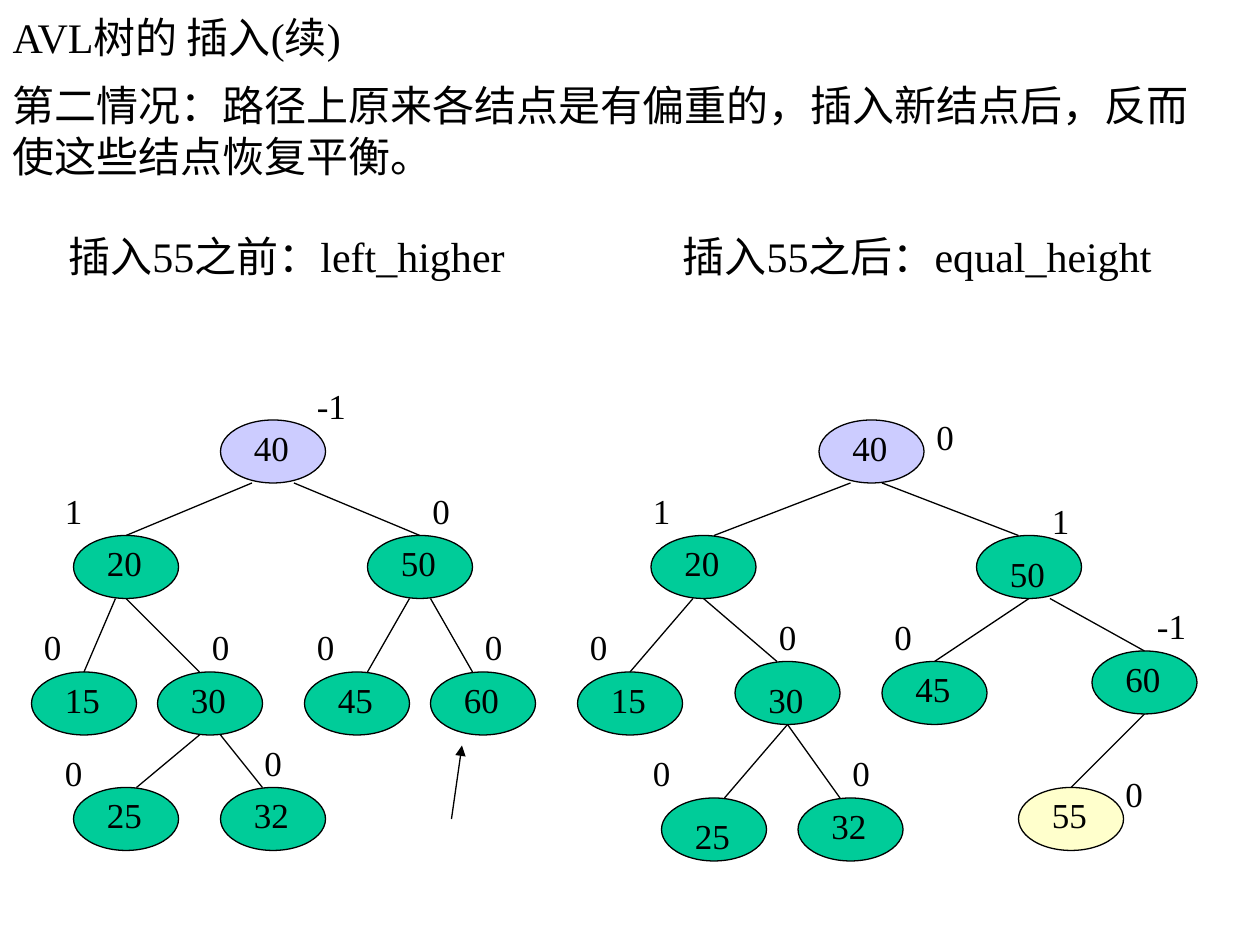
from lxml import etree
from pptx import Presentation
from pptx.dml.color import RGBColor
from pptx.enum.shapes import MSO_CONNECTOR, MSO_SHAPE
from pptx.enum.text import MSO_ANCHOR, MSO_AUTO_SIZE, PP_ALIGN
from pptx.oxml.ns import qn
from pptx.util import Pt

COLOURS = {"ink": "000000", "root": "CCCCFF", "node": "00CC99", "new": "FFFFCC"}
FONT = "Times New Roman"
NODE_W, NODE_H = 60, 36
LABEL_W, LABEL_H = 36, 31.7
KEY_INSET = 12  # from a node's left edge to the box of its key
CAPTION_TABS = (32, 383)

# key: (left, top, balance, balance left, balance top, extra drop of the key)
NODES_BEFORE = {
    "40": (126, 240, "-1", 174, 216, 0),
    "20": (42, 306, "1", 30, 276, 0),
    "50": (210, 306, "0", 240, 276, 0),
    "15": (18, 384, "0", 18, 354, 0),
    "30": (90, 384, "0", 114, 354, 0),
    "45": (174, 384, "0", 174, 354, 0),
    "60": (246, 384, "0", 270, 354, 0),
    "25": (42, 450, "0", 30, 426, 0),
    "32": (126, 450, "0", 144, 420, 0),
}
NODES_AFTER = {
    "40": (468, 240, "0", 528, 234, 0),
    "20": (372, 306, "1", 366, 276, 0),
    "50": (558, 306, "1", 594, 282, 6),
    "15": (330, 384, "0", 330, 354, 0),
    "30": (420, 378, "0", 438, 348, 6),
    "45": (504, 378, "0", 504, 348, 0),
    "60": (624, 372, "-1", 654, 342, 0),
    "25": (378, 456, "0", 366, 426, 6),
    "32": (456, 456, "0", 480, 426, 0),
    "55": (582, 450, "0", 636, 438, 0),
}
# (parent, child, shift from parent's centre, shift from child's centre)
EDGES_BEFORE = [
    ("40", "20", -12, 0), ("40", "50", 12, 0),
    ("20", "15", -6, 0), ("20", "30", 0, -6),
    ("50", "45", -6, 6), ("50", "60", 6, -6),
    ("30", "25", -6, 6), ("30", "32", 6, -6),
]
EDGES_AFTER = [
    ("40", "20", -12, 6), ("40", "50", 6, -6),
    ("20", "15", -6, 0), ("20", "30", 0, -6),
    ("50", "45", 0, 0), ("50", "60", 12, 0),
    ("30", "25", 0, 6), ("30", "32", 0, -6),
    ("60", "55", 0, 0),
]


def colour(name):
    return RGBColor.from_string(COLOURS[name])


def apply_format(target, values):
    for attribute, value in values.items():
        setattr(target, attribute, value)


def format_font(paragraph, size):
    apply_format(paragraph.font, {"name": FONT, "size": Pt(size), "bold": False})
    paragraph.font.color.rgb = colour("ink")


def format_frame(frame, anchor):
    apply_format(frame, {
        "word_wrap": True, "auto_size": MSO_AUTO_SIZE.NONE, "vertical_anchor": anchor,
        "margin_left": Pt(7.2), "margin_right": Pt(7.2),
        "margin_top": Pt(3.6), "margin_bottom": Pt(3.6),
    })


def add_title(slide, text):
    title = slide.shapes.title
    apply_format(title, {"left": Pt(0), "top": Pt(0), "width": Pt(612), "height": Pt(42)})
    title.text_frame.text = text
    format_frame(title.text_frame, MSO_ANCHOR.MIDDLE)
    paragraph = title.text_frame.paragraphs[0]
    paragraph.alignment = PP_ALIGN.LEFT
    format_font(paragraph, 24)


def add_text(slide, lines, left, top, width, height, size):
    """Add a text box with one paragraph per line and return its paragraphs."""
    frame = slide.shapes.add_textbox(Pt(left), Pt(top), Pt(width), Pt(height)).text_frame
    format_frame(frame, MSO_ANCHOR.TOP)
    frame.text = "\n".join(lines)
    for paragraph in frame.paragraphs:
        format_font(paragraph, size)
    return frame.paragraphs


def set_tabs(paragraph, positions):
    properties = paragraph._p.get_or_add_pPr()
    tabs = etree.Element(qn("a:tabLst"))
    for position in positions:
        etree.SubElement(tabs, qn("a:tab"), pos=str(Pt(position)), algn="l")
    properties.insert(0, tabs)


def add_explanation(slide):
    lines = [
        "第二情况：路径上原来各结点是有偏重的，插入新结点后，反而",
        "使这些结点恢复平衡。",
        "\t插入55之前：left_higher\t插入55之后：equal_height",
    ]
    captions = add_text(slide, lines, 0, 42, 696, 480, 24)[-1]
    set_tabs(captions, CAPTION_TABS)
    captions.space_before = Pt(28.5)


def add_line(slide, start, end, arrow=False):
    line = slide.shapes.add_connector(MSO_CONNECTOR.STRAIGHT, *map(Pt, start + end))
    line.line.color.rgb = colour("ink")
    line.line.width = Pt(0.75)
    if arrow:
        etree.SubElement(line.line._get_or_add_ln(), qn("a:tailEnd"), type="triangle")
    etree.SubElement(line._element.spPr, qn("a:effectLst"))


def add_node(slide, key, fill, left, top, balance, balance_left, balance_top, drop):
    oval = slide.shapes.add_shape(
        MSO_SHAPE.OVAL, Pt(left), Pt(top), Pt(NODE_W), Pt(NODE_H))
    oval.shadow.inherit = False
    oval.fill.solid()
    oval.fill.fore_color.rgb = colour(fill)
    oval.line.color.rgb = colour("ink")
    oval.line.width = Pt(0.75)
    add_text(slide, [key], left + KEY_INSET, top + drop, LABEL_W, LABEL_H, 20)
    add_text(slide, [balance], balance_left, balance_top, LABEL_W, LABEL_H, 20)


def add_tree(slide, nodes, edges):
    fills = {"40": "root", "55": "new"}
    for key, place in nodes.items():
        add_node(slide, key, fills.get(key, "node"), *place)
    for parent, child, parent_shift, child_shift in edges:
        parent_left, parent_top = nodes[parent][:2]
        child_left, child_top = nodes[child][:2]
        add_line(slide,
                 (parent_left + NODE_W / 2 + parent_shift, parent_top + NODE_H),
                 (child_left + NODE_W / 2 + child_shift, child_top))


def main():
    presentation = Presentation()
    presentation.slide_width, presentation.slide_height = Pt(720), Pt(540)
    slide = presentation.slides.add_slide(presentation.slide_layouts[5])
    add_title(slide, "AVL树的 插入(续)")
    add_explanation(slide)
    add_tree(slide, NODES_BEFORE, EDGES_BEFORE)
    add_tree(slide, NODES_AFTER, EDGES_AFTER)
    add_line(slide, (258, 468), (264, 426), arrow=True)
    presentation.save("out.pptx")


if __name__ == "__main__":
    main()
